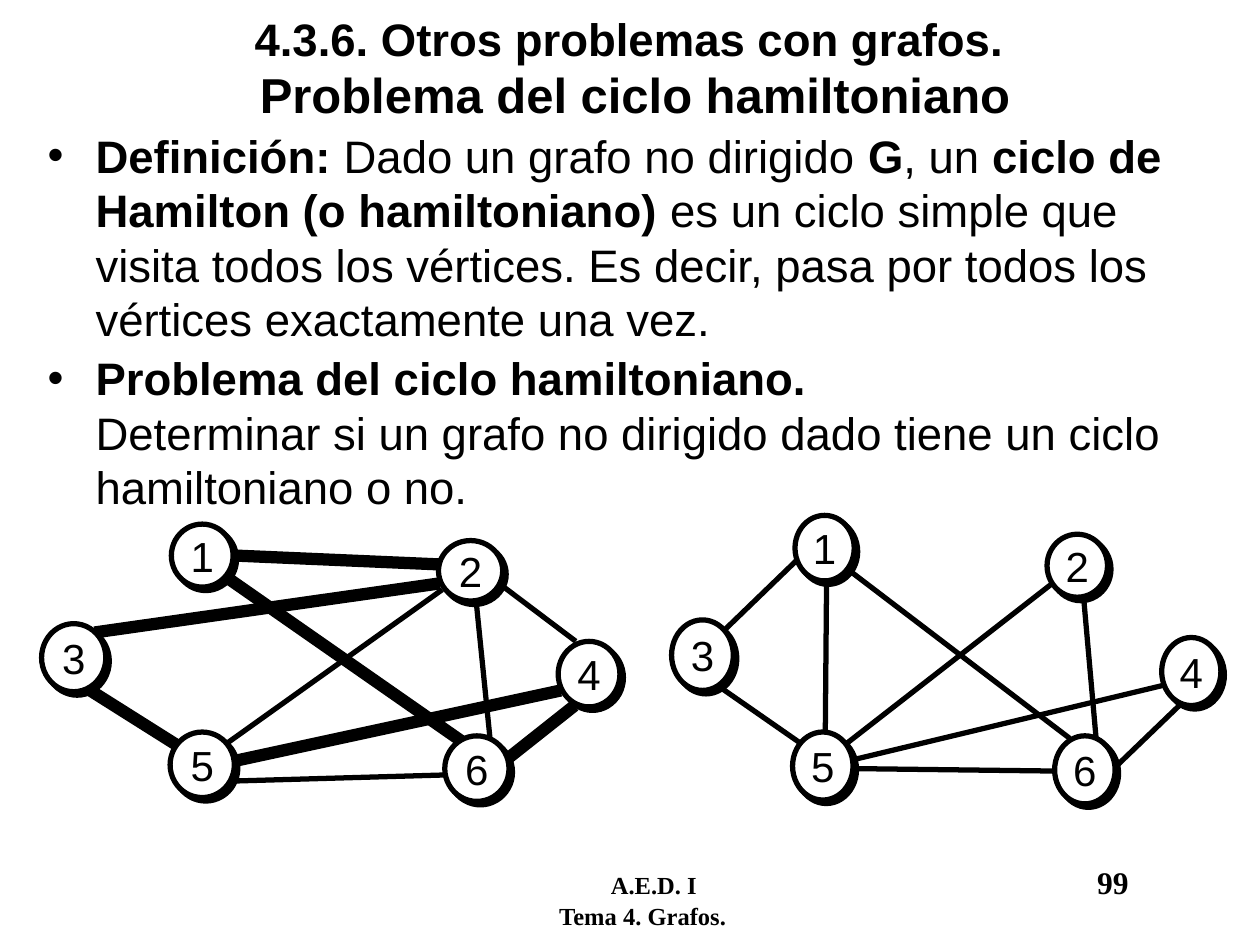
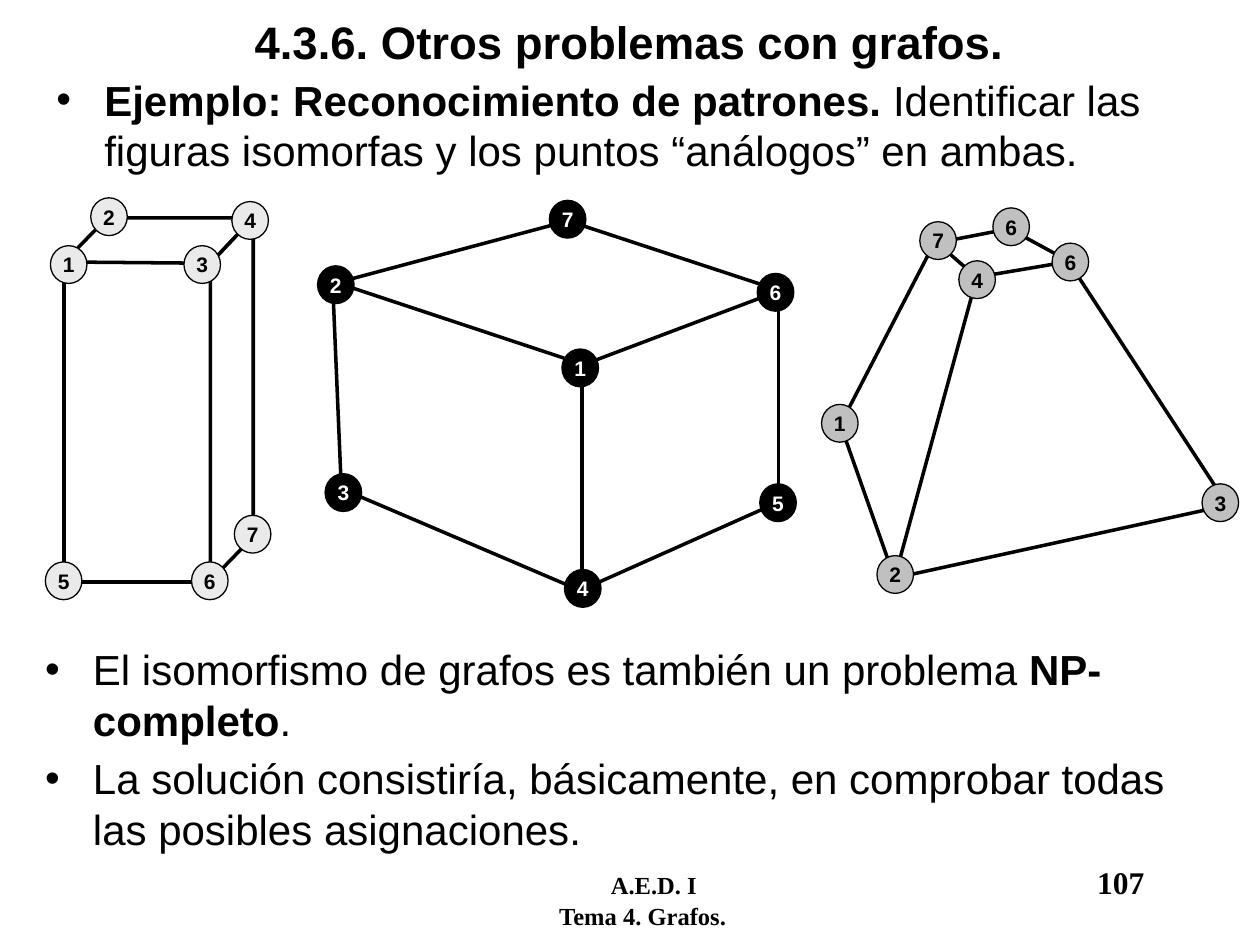
"""Build two slides on Hamiltonian cycles and graph isomorphism."""
from lxml import etree
from pptx import Presentation
from pptx.dml.color import RGBColor
from pptx.enum.shapes import MSO_CONNECTOR, MSO_SHAPE
from pptx.enum.text import MSO_ANCHOR, PP_ALIGN
from pptx.oxml import parse_xml
from pptx.oxml.ns import nsdecls, qn
from pptx.util import Pt

PX = 9144
OVAL, RECTANGLE = MSO_SHAPE.OVAL, MSO_SHAPE.RECTANGLE
STRAIGHT = MSO_CONNECTOR.STRAIGHT
TOP, MIDDLE = MSO_ANCHOR.TOP, MSO_ANCHOR.MIDDLE
LEFT, CENTER = PP_ALIGN.LEFT, PP_ALIGN.CENTER
BLACK, WHITE, PALE, GREY = "000000", "FFFFFF", "EAEAEA", "C0C0C0"
SANS, SERIF = "Arial", "Times New Roman"
HANG = 38
TITLE = "4.3.6. Otros problemas con grafos."
rgb = RGBColor.from_string


def add_text(slide, box, paragraphs, font=SANS, anchor=TOP):
    """Add a text box; a paragraph is (runs, layout), a run is (text, size, bold)."""
    frame = slide.shapes.add_textbox(*(v * PX for v in box)).text_frame
    frame.word_wrap = True
    frame.vertical_anchor = anchor
    for index, (runs, layout) in enumerate(paragraphs):
        paragraph = frame.paragraphs[0] if index == 0 else frame.add_paragraph()
        paragraph.alignment = layout.get("align", LEFT)
        properties = paragraph._p.get_or_add_pPr()
        if "margin" in layout:
            properties.set("marL", str(layout["margin"] * PX))
        if layout.get("bullet"):
            properties.set("indent", str(-HANG * PX))
            etree.SubElement(properties, qn("a:buFont"), typeface=SANS)
            etree.SubElement(properties, qn("a:buChar"), char="•")
        if "tabs" in layout:
            stops = etree.SubElement(properties, qn("a:tabLst"))
            for stop in layout["tabs"]:
                etree.SubElement(stops, qn("a:tab"), pos=str(stop * PX), algn="l")
        if index and "before" in layout:
            paragraph.space_before = Pt(layout["before"])
        for text, size, bold in runs:
            run = paragraph.add_run()
            run.text = text
            run.font.name = font
            run.font.size = Pt(size)
            run.font.bold = bold
            run.font.color.rgb = rgb(BLACK)


def draw_graph(slide, edges, nodes, fill, ink, size, outline, shadow=False):
    """Draw edges (x1, y1, x2, y2, weight) and then nodes (label, x, y, w, h)."""
    for *ends, weight in edges:
        edge = slide.shapes.add_connector(STRAIGHT, *(v * PX for v in ends))
        edge.line.color.rgb = rgb(BLACK)
        edge.line.width = Pt(weight)
        etree.SubElement(edge._element.spPr, qn("a:effectLst"))
    for label, *box in nodes:
        node = slide.shapes.add_shape(OVAL, *(v * PX for v in box))
        node.shadow.inherit = False
        node.fill.solid()
        node.fill.fore_color.rgb = rgb(fill)
        node.line.color.rgb = rgb(BLACK)
        node.line.width = Pt(outline)
        if shadow:
            node._element.spPr.find(qn("a:effectLst")).append(parse_xml(
                f'<a:outerShdw {nsdecls("a")} dist="35921" dir="2700000" algn="ctr" '
                f'rotWithShape="0"><a:srgbClr val="{BLACK}"/></a:outerShdw>'))
        frame = node.text_frame
        frame.margin_left = frame.margin_right = 0
        frame.margin_top = frame.margin_bottom = 0
        frame.word_wrap = False
        frame.vertical_anchor = MIDDLE
        frame.text = label
        frame.paragraphs[0].alignment = CENTER
        font = frame.paragraphs[0].runs[0].font
        font.name = SANS
        font.size = Pt(size)
        font.bold = not shadow
        font.color.rgb = rgb(ink)


deck = Presentation()
deck.slide_width, deck.slide_height = 1000 * PX, 750 * PX
blank = deck.slide_layouts[6]
hamilton, isomorphism = (deck.slides.add_slide(blank) for _ in range(2))

for slide, number, title_height in ((hamilton, "99", 61), (isomorphism, "107", 65)):
    add_text(slide, (362, 680, 580, 50), [
        ([("\tA.E.D. I\t", 14, True), (number, 18, True)], {"tabs": (113, 499)}),
        ([("\tTema 4. Grafos.", 14, True)], {"tabs": (72,)}),
    ], font=SERIF)
    add_text(slide, (33, 0, 933, title_height),
             [([(TITLE, 26, True)], {"align": CENTER})], anchor=MIDDLE)

definition = {"margin": HANG, "bullet": True, "before": 2.6}
add_text(hamilton, (28, 46, 952, 358), [
    ([("Problema del ciclo hamiltoniano", 28, True)], {"align": CENTER}),
    ([("Definición: ", 26, True),
      ("Dado un grafo no dirigido ", 26, False),
      ("G", 26, True),
      (", un ", 26, False),
      ("ciclo de Hamilton (o hamiltoniano)", 26, True),
      (" es un ciclo simple que visita todos los vértices. Es decir, "
       "pasa por todos los vértices exactamente una vez.", 26, False)], definition),
    ([("Problema del ciclo hamiltoniano.", 26, True)], definition),
    ([("Determinar si un grafo no dirigido dado tiene un ciclo "
       "hamiltoniano o no.", 26, False)], {"margin": HANG}),
])

other_edges = [
    (457, 509, 396, 463), (351, 468, 180, 590),
    (378, 478, 389, 587), (181, 620, 355, 615),
]
cycle_edges = [
    (188, 441, 350, 448), (366, 588, 181, 459), (75, 502, 349, 463),
    (456, 560, 403, 602), (70, 547, 143, 593), (186, 604, 445, 548),
]
cyclic_nodes = [
    ("1", 136, 416, 49, 50), ("2", 348, 429, 51, 48), ("3", 33, 495, 51, 54),
    ("5", 135, 581, 51, 52), ("4", 443, 509, 49, 52), ("6", 353, 584, 51, 52),
]
acyclic_edges = [
    (656, 464, 655, 581), (937, 559, 885, 609), (834, 464, 672, 590),
    (849, 586, 673, 452), (575, 500, 632, 445), (839, 612, 678, 610),
    (568, 543, 637, 591), (677, 603, 923, 544), (860, 474, 870, 587),
]
acyclic_nodes = [
    ("1", 631, 409, 47, 52), ("2", 831, 424, 48, 50), ("3", 533, 492, 49, 56),
    ("5", 629, 581, 48, 54), ("4", 922, 506, 47, 54), ("6", 837, 584, 48, 54),
]
cyclic_edges = [(*e, 3) for e in other_edges] + [(*e, 7) for e in cycle_edges]
for edges, nodes in ((cyclic_edges, cyclic_nodes),
                     ([(*e, 3) for e in acyclic_edges], acyclic_nodes)):
    draw_graph(hamilton, edges, nodes, WHITE, BLACK, 24, 3, shadow=True)

point = {"margin": HANG, "bullet": True, "before": 4.8}
add_text(isomorphism, (35, 54, 934, 109), [
    ([("Ejemplo: Reconocimiento de patrones.", 24, True),
      (" Identificar las figuras isomorfas y los puntos “análogos” en ambas.",
       24, False)], point),
])
add_text(isomorphism, (26, 506, 947, 179), [
    ([("El isomorfismo de grafos es también un problema ", 24, False),
      ("NP-completo", 24, True),
      (".", 24, False)], point),
    ([("La solución consistiría, básicamente, en comprobar todas las posibles "
       "asignaciones.", 24, False)], point),
])

prism_front = isomorphism.shapes.add_shape(
    RECTANGLE, *(v * PX for v in (51, 208, 116, 254)))
prism_faces = [prism_front]
for start, *corners in (
    ((51, 208), (85, 173), (201, 173), (167, 209)),
    ((167, 209), (167, 461), (201, 426), (201, 173)),
):
    outline = isomorphism.shapes.build_freeform(*start, scale=PX)
    outline.add_line_segments(corners, close=True)
    prism_faces.append(outline.convert_to_shape())
for face in prism_faces:
    face.shadow.inherit = False
    face.fill.solid()
    face.fill.fore_color.rgb = rgb(WHITE)
    face.line.color.rgb = rgb(BLACK)
    face.line.width = Pt(2)

prism_nodes = [
    ("1", 40, 195), ("2", 72, 157), ("3", 146, 195), ("4", 184, 160),
    ("5", 36, 446), ("6", 152, 446), ("7", 186, 409),
]
cube_edges = [
    (271, 390, 264, 224), (266, 224, 462, 289), (459, 291, 618, 231),
    (462, 293, 462, 469), (459, 468, 269, 387), (462, 468, 619, 398),
    (618, 398, 618, 231), (269, 224, 452, 175), (450, 175, 620, 231),
]
cube_nodes = [
    ("2", 252, 211), ("1", 446, 277), ("7", 436, 159), ("3", 258, 376),
    ("4", 448, 452), ("6", 601, 217), ("5", 603, 384),
]
pyramid_edges = [
    (973, 399, 847, 206), (974, 401, 709, 459), (710, 459, 775, 221),
    (710, 459, 667, 337), (667, 337, 742, 192), (744, 193, 775, 220),
    (775, 220, 846, 208), (846, 206, 800, 181), (804, 181, 742, 193),
]
pyramid_nodes = [
    ("4", 761, 207), ("6", 835, 193), ("7", 730, 176), ("6", 788, 165),
    ("2", 696, 441), ("3", 954, 384), ("1", 652, 321),
]
for edges, nodes, fill, ink in (
    ([], prism_nodes, PALE, BLACK),
    (cube_edges, cube_nodes, BLACK, WHITE),
    (pyramid_edges, pyramid_nodes, GREY, BLACK),
):
    draw_graph(isomorphism, [(*e, 2) for e in edges],
               [(*n, 29, 30) for n in nodes], fill, ink, 12, 0.75)

deck.save("out.pptx")
